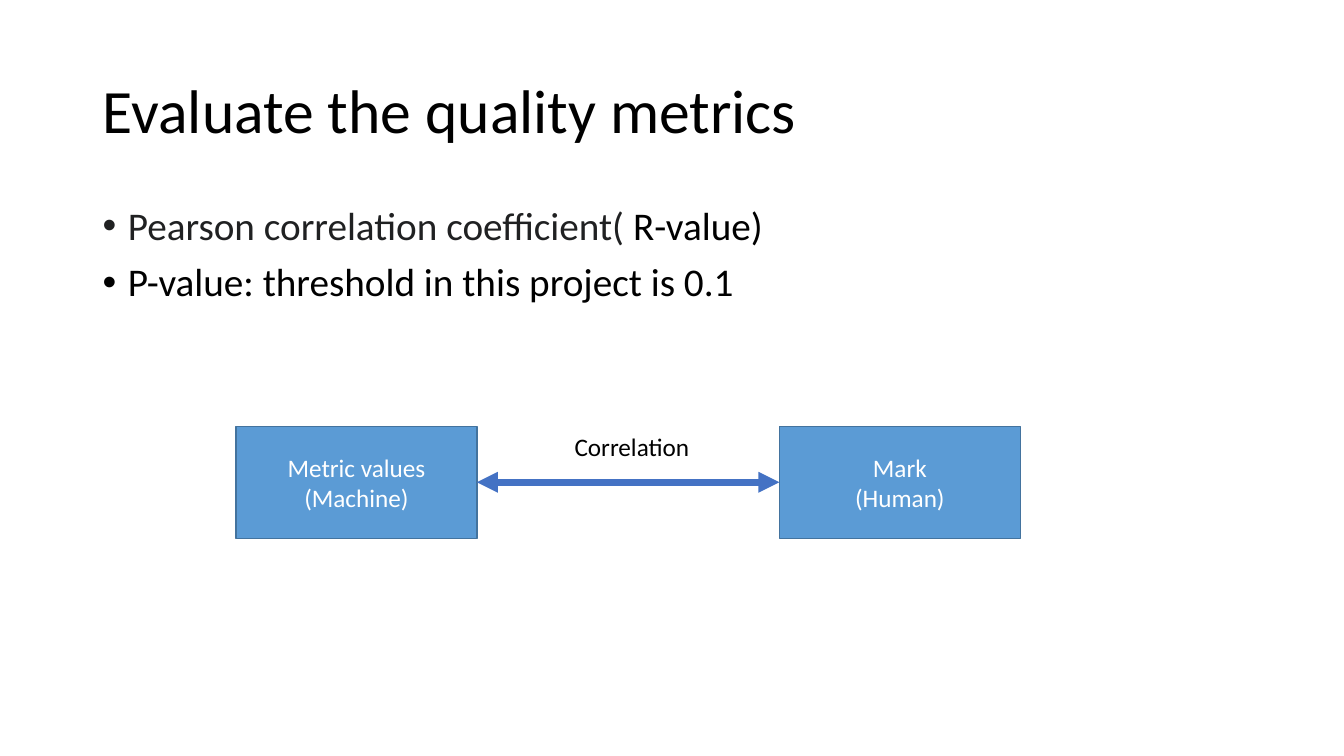
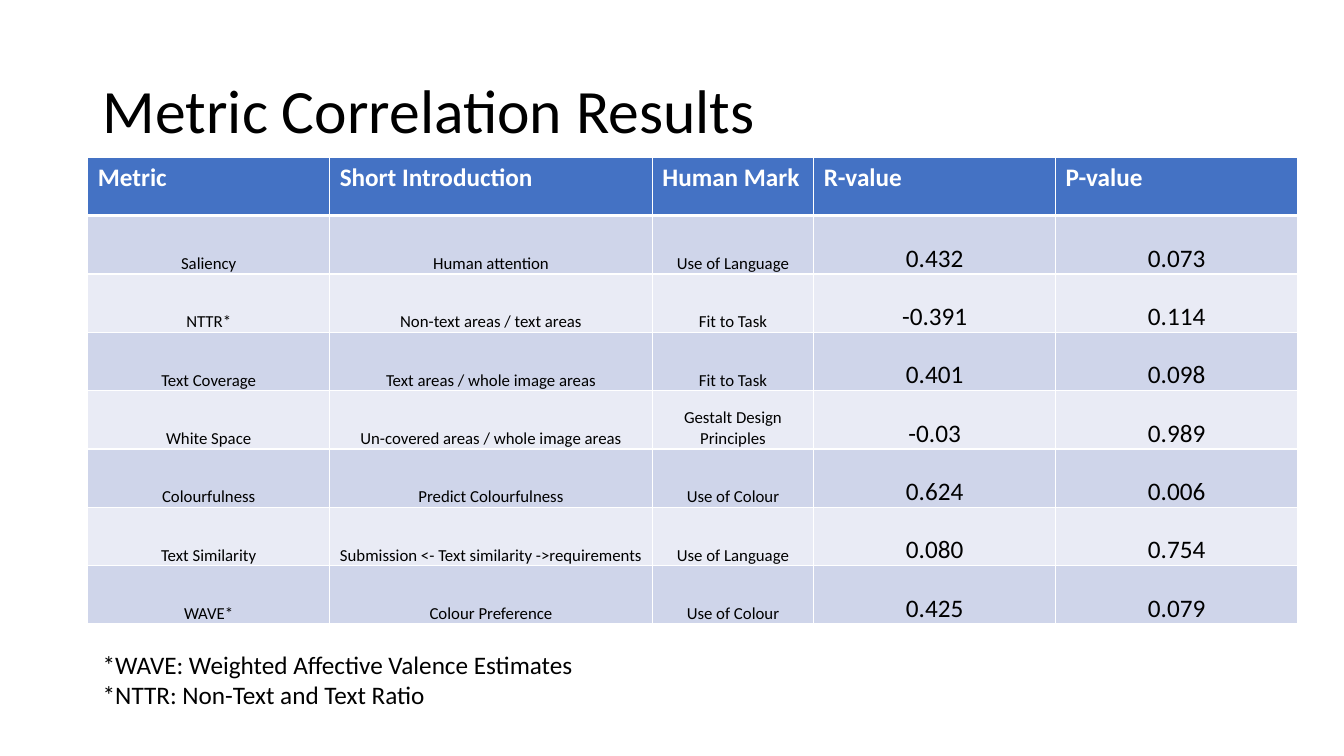
from lxml.etree import SubElement
from pptx import Presentation
from pptx.dml.color import RGBColor
from pptx.enum.shapes import MSO_CONNECTOR, MSO_SHAPE
from pptx.enum.text import MSO_ANCHOR, MSO_AUTO_SIZE, PP_ALIGN
from pptx.oxml import parse_xml
from pptx.oxml.ns import nsdecls, qn
from pptx.util import Inches, Pt

# Content
BULLETS = [
    [("Pearson correlation coefficient( ", "202122"), ("R-value)", "000000")],
    [("P-value: threshold in this project is 0.1", "000000")],
]
COMPARED = [["Metric values (Machine)"], ["Mark", "(Human)"]]
LINK_LABEL = "Correlation"
HEADINGS = ["Metric", "Short Introduction", "Human Mark", "R-value", "P-value"]
RESULTS = [
    ("Saliency", "Human attention", "Use of Language", "0.432", "0.073"),
    ("NTTR*", "Non-text areas / text areas", "Fit to Task", "-0.391", "0.114"),
    ("Text Coverage", "Text areas / whole image areas", "Fit to Task", "0.401", "0.098"),
    ("White Space", "Un-covered areas / whole image areas", "Gestalt Design Principles",
     "-0.03", "0.989"),
    ("Colourfulness", "Predict Colourfulness", "Use of Colour", "0.624", "0.006"),
    ("Text Similarity", "Submission <- Text similarity ->requirements", "Use of Language",
     "0.080", "0.754"),
    ("WAVE*", "Colour Preference", "Use of Colour", "0.425", "0.079"),
]
FOOTNOTES = ["*WAVE: Weighted Affective Valence Estimates", "*NTTR: Non-Text and Text Ratio"]

# Shared style and layout, in inches
FONT = "Calibri"
BLACK, WHITE, ACCENT = "000000", "FFFFFF", "4472C4"
BOX_FILL, BOX_LINE = "5B9BD5", "43739E"
BANDS = ["CFD5EA", "E9EBF5"]
PAGE_WIDTH, PAGE_HEIGHT = 13.33, 7.5
MARGIN, CONTENT_WIDTH = 0.92, 11.5
BOX_LEFT, BOX_TOP, BOX_WIDTH, BOX_HEIGHT, BOX_GAP = 2.34, 4.23, 2.39, 1.11, 3
TABLE_LEFT, TABLE_TOP, TABLE_HEIGHT = 0.87, 1.56, 4.63
COLUMN_UNIT, COLUMN_SHARES = 0.8, [3, 4, 2, 3, 3]


def colour(value):
    return RGBColor.from_string(value)


def inches(*lengths):
    return [Inches(length) for length in lengths]


def set_font(font, size, shade=BLACK, bold=False):
    font.name, font.size, font.bold = FONT, Pt(size), bold
    font.color.rgb = colour(shade)


def write(frame, lines, size, shade=BLACK, align=PP_ALIGN.LEFT, bold=False):
    frame.text = "\n".join(lines)
    for paragraph in frame.paragraphs:
        paragraph.alignment = align
        set_font(paragraph.font, size, shade, bold)


def add_page(deck, heading):
    page = deck.slides.add_slide(deck.slide_layouts[5])
    title = page.shapes.title
    title.left, title.top, title.width, title.height = inches(MARGIN, 0.4, CONTENT_WIDTH, 1.45)
    frame = title.text_frame
    write(frame, [heading], 44)
    frame.auto_size = MSO_AUTO_SIZE.NONE
    frame.vertical_anchor = MSO_ANCHOR.MIDDLE
    frame.paragraphs[0].line_spacing = 0.9
    return page


def add_text(page, place, lines, size=18):
    box = page.shapes.add_textbox(*inches(*place))
    write(box.text_frame, lines, size)
    box.text_frame.word_wrap = False


def add_bullets(page):
    frame = page.shapes.add_textbox(*inches(MARGIN, 2, CONTENT_WIDTH, 1.5)).text_frame
    frame.word_wrap = True
    for index, spans in enumerate(BULLETS):
        para = frame.add_paragraph() if index else frame.paragraphs[0]
        para.line_spacing = 0.9
        para.space_before = Pt(10 if index else 0)
        properties = para._p.get_or_add_pPr()
        properties.set("marL", str(Inches(0.25)))
        properties.set("indent", str(-Inches(0.25)))
        SubElement(properties, qn("a:buFont"), typeface="Arial")
        SubElement(properties, qn("a:buChar"), char="•")
        for text, shade in spans:
            span = para.add_run()
            span.text = text
            set_font(span.font, 28, shade)


def add_box(page, left, lines):
    place = inches(left, BOX_TOP, BOX_WIDTH, BOX_HEIGHT)
    box = page.shapes.add_shape(MSO_SHAPE.RECTANGLE, *place)
    box.shadow.inherit = False
    box.fill.solid()
    box.fill.fore_color.rgb = colour(BOX_FILL)
    box.line.color.rgb = colour(BOX_LINE)
    box.line.width = Pt(1)
    box.text_frame.vertical_anchor = MSO_ANCHOR.MIDDLE
    write(box.text_frame, lines, 18, WHITE, PP_ALIGN.CENTER)


def add_double_arrow(page, start, end, height):
    arrow = page.shapes.add_connector(
        MSO_CONNECTOR.STRAIGHT, *inches(start, height, end, height))
    arrow.line.color.rgb = colour(ACCENT)
    arrow.line.width = Pt(5)
    line = arrow.line._get_or_add_ln()
    for tag in ("a:headEnd", "a:tailEnd"):
        SubElement(line, qn(tag), type="triangle")
    SubElement(arrow._element.spPr, qn("a:effectLst"))


def set_borders(cell, **widths):
    properties = cell._tc.get_or_add_tcPr()
    for index, side in enumerate("LRTB"):
        width = Pt(widths.get(side, 1))
        properties.insert(index, parse_xml(
            f'<a:ln{side} {nsdecls("a")} w="{width}"><a:solidFill>'
            f'<a:srgbClr val="{WHITE}"/></a:solidFill></a:ln{side}>'))


def add_results(page):
    rows = [HEADINGS, *RESULTS]
    place = inches(TABLE_LEFT, TABLE_TOP, COLUMN_UNIT * sum(COLUMN_SHARES), TABLE_HEIGHT)
    table = page.shapes.add_table(len(rows), len(HEADINGS), *place).table
    for column, share in zip(table.columns, COLUMN_SHARES):
        column.width = Inches(COLUMN_UNIT * share)
    for row_index, row in enumerate(rows):
        for column_index, text in enumerate(row):
            cell = table.cell(row_index, column_index)
            cell.fill.solid()
            if row_index == 0:
                cell.fill.fore_color.rgb = colour(ACCENT)
                write(cell.text_frame, [text], 18, WHITE, bold=True)
                set_borders(cell, B=3)
                continue
            cell.fill.fore_color.rgb = colour(BANDS[(row_index - 1) % 2])
            cell.vertical_anchor = MSO_ANCHOR.BOTTOM
            cell.margin_left = cell.margin_right = cell.margin_top = Inches(0.01)
            cell.margin_bottom = 0
            write(cell.text_frame, [text], 12 if column_index < 3 else 18,
                  align=PP_ALIGN.CENTER)
            set_borders(cell, T=3 if row_index == 1 else 1)


def main():
    deck = Presentation()
    deck.slide_width, deck.slide_height = inches(PAGE_WIDTH, PAGE_HEIGHT)

    # Evaluation method
    page = add_page(deck, "Evaluate the quality metrics")
    add_bullets(page)
    for index, lines in enumerate(COMPARED):
        add_box(page, BOX_LEFT + index * (BOX_WIDTH + BOX_GAP), lines)
    arrow_start = BOX_LEFT + BOX_WIDTH
    add_double_arrow(page, arrow_start, arrow_start + BOX_GAP, BOX_TOP + BOX_HEIGHT / 2)
    add_text(page, (5.6, BOX_TOP, 1.35, 0.4), [LINK_LABEL])

    # Results table
    page = add_page(deck, "Metric Correlation Results")
    add_results(page)
    add_text(page, (MARGIN, 6.39, 4.92, 0.71), FOOTNOTES)

    deck.save("out.pptx")


if __name__ == "__main__":
    main()
